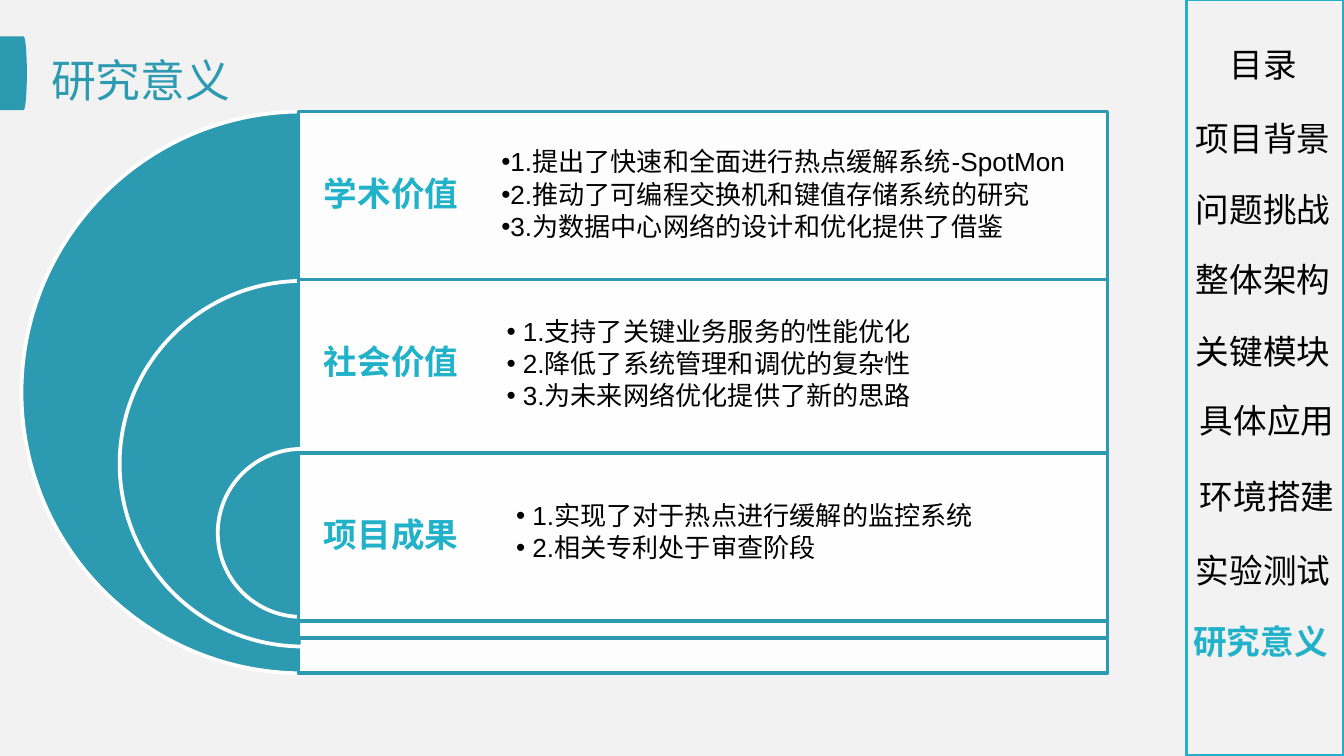
import pptx
import pptx.util
from pptx.dml.color import RGBColor
from pptx.enum.shapes import MSO_SHAPE
from pptx.enum.text import MSO_ANCHOR, MSO_AUTO_SIZE, PP_ALIGN
from pptx.oxml.ns import qn
from lxml import etree

Inches, Pt = pptx.util.Inches, pptx.util.Pt

TEAL = RGBColor(0x2C, 0x9A, 0xB1)
BRIGHT = RGBColor(0x21, 0xB2, 0xC9)
WHITE = RGBColor(0xFF, 0xFF, 0xFF)
BLACK = RGBColor(0, 0, 0)
PALE = RGBColor(0xF2, 0xF2, 0xF2)
CJK = "Noto Sans CJK SC"

# Content
TITLE = "研究意义"
# label, pie (left, top, size), panel (top, height),
# points box (left, top, width), points indent, points
VALUES = [
    ("学术价值", (0.16, 0.83, 4.18), (0.83, 4.18), (3.46, 0.83, 6.62), 0,
     ["1.提出了快速和全面进行热点缓解系统-SpotMon",
      "2.推动了可编程交换机和键值存储系统的研究",
      "3.为数据中心网络的设计和优化提供了借鉴"]),
    ("社会价值", (0.89, 2.09, 2.72), (2.08, 2.67), (3.5, 2.09, 6.53), 0.12,
     ["1.支持了关键业务服务的性能优化",
      "2.降低了系统管理和调优的复杂性",
      "3.为未来网络优化提供了新的思路"]),
    ("项目成果", (1.62, 3.34, 1.25), (3.37, 1.25), (3.57, 3.34, 6.39), 0.12,
     ["1.实现了对于热点进行缓解的监控系统",
      "2.相关专利处于审查阶段"]),
]
# text, left, top
MENU = [
    ("目录", 9.05, 0.28), ("项目背景", 8.8, 0.83), ("问题挑战", 8.8, 1.36),
    ("整体架构", 8.8, 1.88), ("关键模块", 8.8, 2.41), ("具体应用", 8.83, 2.93),
    ("环境搭建", 8.83, 3.49), ("实验测试", 8.8, 4.04), ("研究意义", 8.78, 4.57),
]
PAGE_WIDTH = 10
PAGE_HEIGHT = PAGE_WIDTH * 9 / 16
PANEL_LEFT, PANEL_WIDTH, ROW_HEIGHT = 2.22, 6.02, 1.25
MENU_LEFT = 8.83


def style(para, size, font, color, bold=False):
    for span in para.runs:
        span.font.size, span.font.name, span.font.bold = Pt(size), font, bold
        span.font.color.rgb = color
        east = etree.SubElement(span._r.get_or_add_rPr(), qn("a:ea"))
        east.set("typeface", CJK)


def add_shape(kind, left, top, width, height, fill=None, line=None, weight=2):
    shape = page.shapes.add_shape(
        kind, Inches(left), Inches(top), Inches(width), Inches(height))
    shape.shadow.inherit = False
    if fill is None:
        shape.fill.background()
    else:
        shape.fill.solid()
        shape.fill.fore_color.rgb = fill
    if line is None:
        shape.line.fill.background()
    else:
        shape.line.color.rgb = line
        shape.line.width = Pt(weight)
    return shape


def add_text(left, top, width, height, text, margin=None):
    box = page.shapes.add_textbox(
        Inches(left), Inches(top), Inches(width), Inches(height))
    frame = box.text_frame
    frame.text = text
    if margin is not None:
        frame.word_wrap = True
        frame.vertical_anchor = MSO_ANCHOR.MIDDLE
        frame.margin_left = frame.margin_right = Inches(margin)
        frame.margin_top = frame.margin_bottom = Inches(margin)
        for para in frame.paragraphs:
            para.line_spacing = 0.9
    return frame


def add_bullet(para, indent):
    props = para._p.get_or_add_pPr()
    props.set("marL", str(Inches(indent)))
    props.set("indent", str(Inches(-0.12)))
    etree.SubElement(props, qn("a:buFont")).set("typeface", "Arial")
    etree.SubElement(props, qn("a:buChar")).set("char", "•")


deck = pptx.Presentation()
deck.slide_width, deck.slide_height = Inches(PAGE_WIDTH), Inches(PAGE_HEIGHT)
page = deck.slides.add_slide(deck.slide_layouts[5])
page.background.fill.solid()
page.background.fill.fore_color.rgb = PALE

# Title with its rounded tab
add_shape(MSO_SHAPE.RECTANGLE, 0, 0.27, 0.17, 0.55, TEAL)
add_shape(MSO_SHAPE.OVAL, 0.15, 0.27, 0.05, 0.55, TEAL)
title = page.shapes.title
title.left, title.top = Inches(0.28), Inches(0.29)
title.width, title.height = Inches(9), Inches(0.6)
title.text_frame.text = TITLE
title.text_frame.vertical_anchor = MSO_ANCHOR.MIDDLE
heading = title.text_frame.paragraphs[0]
heading.alignment = PP_ALIGN.LEFT
style(heading, 24, CJK, TEAL)

# Nested half circles, each with its panel and label
for label, (left, top, size), (panel_top, height), *_ in VALUES:
    pie = add_shape(MSO_SHAPE.PIE, left, top, size, size, TEAL, WHITE)
    pie.adjustments[0], pie.adjustments[1] = 54, 162
    panel = add_shape(MSO_SHAPE.RECTANGLE, PANEL_LEFT, panel_top,
                      PANEL_WIDTH, height, WHITE, TEAL)
    color = panel._element.spPr.find(qn("a:solidFill")).find(qn("a:srgbClr"))
    etree.SubElement(color, qn("a:alpha")).set("val", "90000")
    frame = add_text(PANEL_LEFT, panel_top, PANEL_WIDTH / 2, ROW_HEIGHT, label, 0.07)
    frame.margin_left = Inches(0.19)
    style(frame.paragraphs[0], 18, "Calibri", BRIGHT, True)

# Bulleted points
for *_, (left, top, width), indent, points in VALUES:
    frame = add_text(left, top, width, ROW_HEIGHT, "\n".join(points), 0.27)
    for para in frame.paragraphs:
        para.level = 1
        para.space_after = Pt(2.1)
        add_bullet(para, indent)
        style(para, 14, "Arial", BLACK)

# Side menu, the current section highlighted
for text, left, top in MENU:
    frame = add_text(left, top, 0.21 + 0.25 * len(text), 0.4, text)
    frame.word_wrap = False
    frame.auto_size = MSO_AUTO_SIZE.SHAPE_TO_FIT_TEXT
    current = text == TITLE
    style(frame.paragraphs[0], 18, "Calibri", BRIGHT if current else BLACK, current)
add_shape(MSO_SHAPE.RECTANGLE, MENU_LEFT, 0, PAGE_WIDTH - MENU_LEFT, PAGE_HEIGHT,
          line=BRIGHT, weight=1.5)

deck.save("out.pptx")
